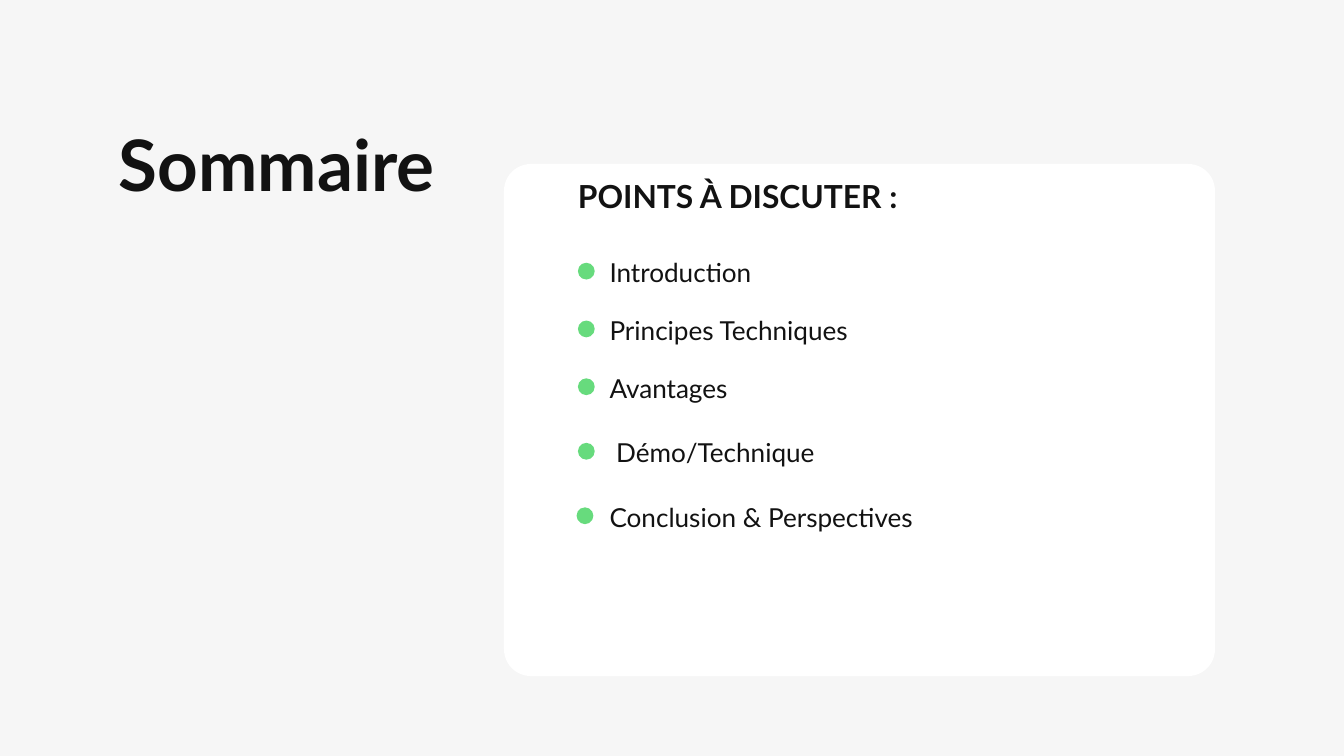
from dataclasses import dataclass

from pptx import Presentation
from pptx.dml.color import RGBColor
from pptx.enum.shapes import MSO_SHAPE
from pptx.enum.text import MSO_ANCHOR, MSO_AUTO_SIZE, PP_ALIGN
from pptx.shapes.autoshape import Shape
from pptx.slide import Slide
from pptx.util import Inches, Pt

ROUNDED, OVAL = MSO_SHAPE.ROUNDED_RECTANGLE, MSO_SHAPE.OVAL
LEFT, TOP, NO_FIT = PP_ALIGN.LEFT, MSO_ANCHOR.TOP, MSO_AUTO_SIZE.NONE

BACKGROUND = RGBColor(0xF6, 0xF6, 0xF6)
WHITE = RGBColor(0xFF, 0xFF, 0xFF)
INK = RGBColor(0x12, 0x12, 0x12)
GREEN = RGBColor(0x67, 0xDB, 0x7D)

FRAME_FORMAT = {
    "margin_left": 0, "margin_top": 0, "margin_right": 0, "margin_bottom": 0,
    "word_wrap": True, "auto_size": NO_FIT, "vertical_anchor": TOP,
}
DOT_SIZE = 0.25
DOT_DROP = 0.17  # from the top of an item's text to its dot


@dataclass(frozen=True)
class Box:
    left: float
    top: float
    width: float
    height: float

    def lengths(self) -> tuple:
        return tuple(map(Inches, (self.left, self.top, self.width, self.height)))


@dataclass(frozen=True)
class TextStyle:
    size: float
    line_spacing: float
    bold: bool = False


@dataclass(frozen=True)
class AgendaItem:
    text: str
    top: float
    dot_left: float = 8.6


TITLE_STYLE = TextStyle(76, 91.2, bold=True)
HEADING_STYLE = TextStyle(34, 40.8, bold=True)
ITEM_STYLE = TextStyle(28, 39.2)

AGENDA = [
    AgendaItem("Introduction", 3.74),
    AgendaItem("Principes Techniques", 4.6),
    AgendaItem("Avantages", 5.46),
    AgendaItem(" Démo/Technique", 6.42),
    AgendaItem("Conclusion & Perspectives", 7.38, dot_left=8.58),
]


def write_text(shape: Shape, text: str, style: TextStyle) -> None:
    frame = shape.text_frame
    for name, value in FRAME_FORMAT.items():
        setattr(frame, name, value)
    paragraph = frame.paragraphs[0]
    paragraph.alignment = LEFT
    paragraph.line_spacing = Pt(style.line_spacing)
    run = paragraph.add_run()
    run.text = text
    font_format = {"name": "Lato", "size": Pt(style.size), "bold": style.bold}
    for name, value in font_format.items():
        setattr(run.font, name, value)
    run.font.color.rgb = INK


def add_text(slide: Slide, box: Box, text: str, style: TextStyle) -> None:
    write_text(slide.shapes.add_textbox(*box.lengths()), text, style)


def add_filled_shape(slide: Slide, kind: MSO_SHAPE, box: Box, color: RGBColor) -> Shape:
    shape = slide.shapes.add_shape(kind, *box.lengths())
    shape.shadow.inherit = False
    shape.fill.solid()
    shape.fill.fore_color.rgb = color
    shape.line.fill.background()
    return shape


def add_title(slide: Slide, box: Box, text: str) -> None:
    title = slide.shapes.title
    title.left, title.top, title.width, title.height = box.lengths()
    write_text(title, text, TITLE_STYLE)


def add_agenda_item(slide: Slide, item: AgendaItem) -> None:
    dot_box = Box(item.dot_left, item.top + DOT_DROP, DOT_SIZE, DOT_SIZE)
    add_filled_shape(slide, OVAL, dot_box, GREEN)
    add_text(slide, Box(9.07, item.top, 8.68, 0.53), item.text, ITEM_STYLE)


def main() -> None:
    presentation = Presentation()
    presentation.slide_width = Inches(20)
    presentation.slide_height = Inches(11.25)
    slide = presentation.slides.add_slide(presentation.slide_layouts.get_by_name("Title Only"))
    slide.background.fill.solid()
    slide.background.fill.fore_color.rgb = BACKGROUND

    add_title(slide, Box(1.77, 1.8, 4.75, 1.27), "Sommaire")

    # White card with its heading
    card = add_filled_shape(slide, ROUNDED, Box(7.5, 2.44, 10.58, 7.62), WHITE)
    card.adjustments[0] = 0.4 / 7.62  # corner radius over the shorter side
    add_text(slide, Box(8.6, 2.63, 9.15, 0.56), "POINTS À DISCUTER\u00a0:", HEADING_STYLE)

    # Agenda
    for item in AGENDA:
        add_agenda_item(slide, item)

    presentation.save("out.pptx")


if __name__ == "__main__":
    main()
